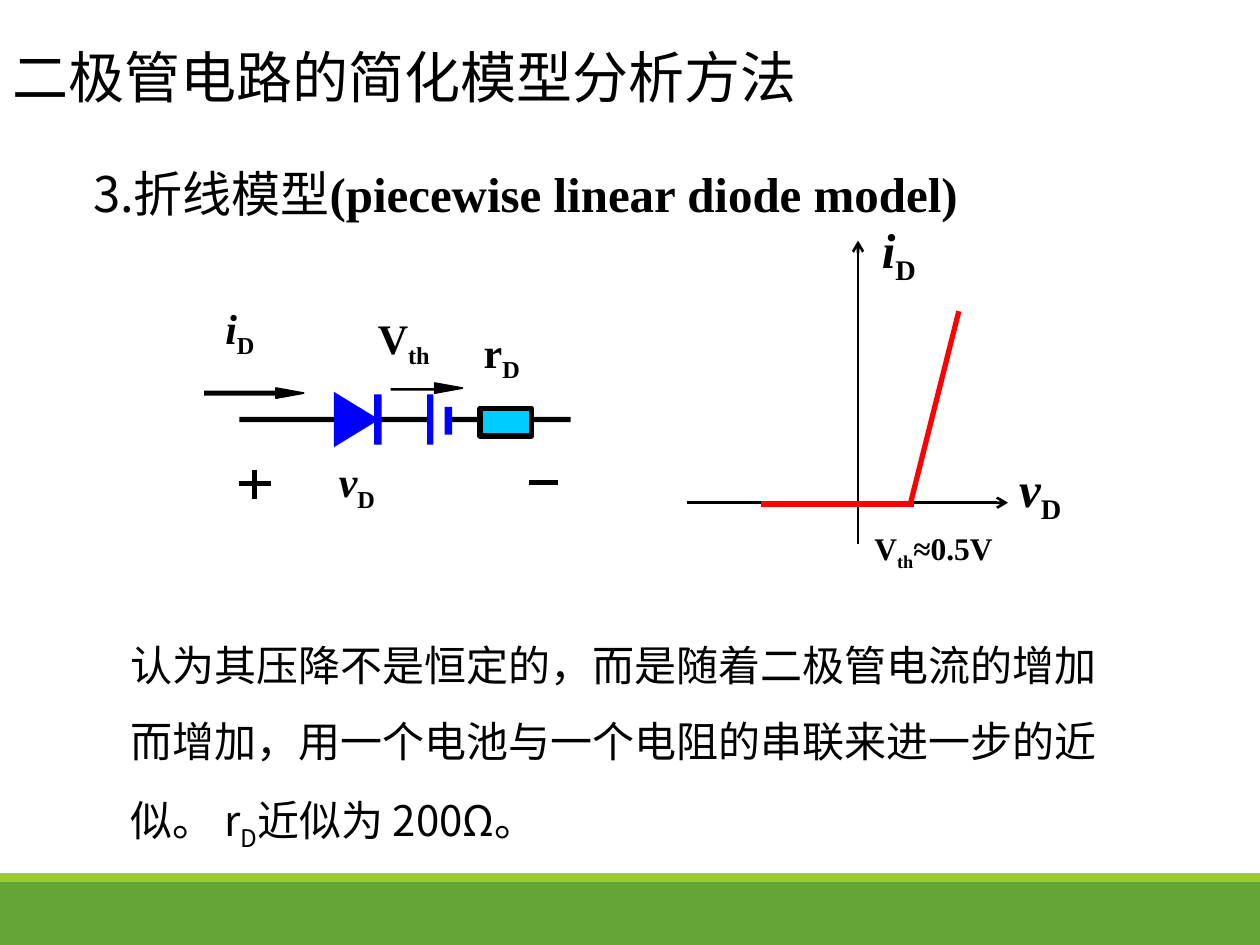
from lxml import etree
from pptx import Presentation
from pptx.dml.color import RGBColor
from pptx.enum.shapes import MSO_CONNECTOR, MSO_SHAPE
from pptx.enum.text import MSO_ANCHOR, PP_ALIGN
from pptx.oxml.ns import qn
from pptx.util import Inches, Pt

RECTANGLE = MSO_SHAPE.RECTANGLE
STRAIGHT = MSO_CONNECTOR.STRAIGHT
MIDDLE = MSO_ANCHOR.MIDDLE
LEFT = PP_ALIGN.LEFT
color = RGBColor.from_string
CHINESE = "Noto Sans CJK SC"
LATIN = "Times New Roman"
BLACK, BLUE, RED = "000000", "0000FF", "FF0000"


def add_runs(paragraph, size, runs):
    for text, font_name, style in runs:
        run = paragraph.add_run()
        run.text = text
        font = run.font
        font.size = Pt(size)
        font.name = font_name
        font.bold = "bold" in style
        font.italic = "italic" in style
        font.color.rgb = color(BLACK)
        properties = font._element
        etree.SubElement(properties, qn("a:ea")).set("typeface", font_name)
        if "subscript" in style:
            properties.set("baseline", "-25000")


def paint(shape, fill, line_width):
    shape.shadow.inherit = False
    shape.fill.solid()
    shape.fill.fore_color.rgb = color(fill)
    if line_width:
        shape.line.color.rgb = color(BLACK)
        shape.line.width = Pt(line_width)
    else:
        shape.line.fill.background()


presentation = Presentation()
presentation.slide_width = Inches(10)
presentation.slide_height = Inches(7.5)
slide = presentation.slides.add_slide(presentation.slide_layouts[5])
shapes = slide.shapes

title = shapes.title
title.left, title.top, title.width, title.height = 0, 0, Inches(8.5), Inches(1.21)
title.text_frame.vertical_anchor = MIDDLE
title_paragraph = title.text_frame.paragraphs[0]
title_paragraph.alignment = LEFT
add_runs(title_paragraph, 32, [("二极管电路的简化模型分析方法", CHINESE, "")])

rectangles = [
    (0, 7, 10, 0.5, "63A537", 0),
    (0, 6.93, 10, 0.07, "99CB38", 0),
    (1.9, 3.31, 2.63, 0.04, BLACK, 0),
    (3.41, 3.23, 0.14, 0.23, "FFFFFF", 0),
    (3.39, 3.13, 0.05, 0.4, BLUE, 0),
    (3.53, 3.23, 0.06, 0.22, BLUE, 0),
    (2.97, 3.13, 0.06, 0.4, BLUE, 0),
    (1.62, 3.1, 0.7, 0.04, BLACK, 0),
    (3.81, 3.24, 0.41, 0.22, "00CCFF", 3),
    (3.1, 3.08, 0.38, 0.02, BLACK, 0),
]
for left, top, width, height, fill, line_width in rectangles:
    rectangle = shapes.add_shape(
        RECTANGLE, Inches(left), Inches(top), Inches(width), Inches(height))
    paint(rectangle, fill, line_width)

triangles = [
    (2.65, 3.01, 3.33, 0.22, BLUE, 0),
    (2.19, 2.41, 3.12, 0.04, BLACK, 1),
    (3.45, 3.67, 3.08, 0.04, BLACK, 1),
]
for base, tip, middle, half_height, fill, line_width in triangles:
    builder = shapes.build_freeform(Inches(tip), Inches(middle))
    builder.add_line_segments([
        (Inches(base), Inches(middle - half_height)),
        (Inches(base), Inches(middle + half_height)),
    ], close=True)
    paint(builder.convert_to_shape(), fill, line_width)

lines = [
    (5.45, 3.99, 8, 3.99, BLACK, 1.5, True),
    (6.81, 4.32, 6.81, 1.91, BLACK, 1.5, True),
    (7.61, 2.47, 7.22, 4.02, RED, 3, False),
    (6.04, 4, 7.25, 4, RED, 3, False),
    (1.9, 3.84, 2.15, 3.84, BLACK, 3, False),
    (2.02, 3.73, 2.02, 3.96, BLACK, 3, False),
    (4.2, 3.83, 4.43, 3.83, BLACK, 3, False),
]
for start_x, start_y, end_x, end_y, line_color, line_width, arrow in lines:
    connector = shapes.add_connector(
        STRAIGHT, Inches(start_x), Inches(start_y), Inches(end_x), Inches(end_y))
    connector.line.color.rgb = color(line_color)
    connector.line.width = Pt(line_width)
    if arrow:
        line_element = connector.line._get_or_add_ln()
        etree.SubElement(line_element, qn("a:tailEnd")).set("type", "arrow")
    etree.SubElement(connector._element.spPr, qn("a:effectLst"))

diode_index = ("D", LATIN, "bold subscript")
current = [("i", LATIN, "bold italic"), diode_index]
voltage = [("v", LATIN, "bold italic"), diode_index]
resistance = [("r", LATIN, "bold"), diode_index]
threshold = [("V", LATIN, "bold"), ("th", LATIN, "bold subscript")]
heading = [("3.折线模型", CHINESE, ""), ("(piecewise linear diode model)", LATIN, "bold")]
explanation = [
    ("认为其压降不是恒定的，而是随着二极管电流的增加而增加，"
     "用一个电池与一个电阻的串联来进一步的近似。 r", CHINESE, ""),
    ("D", CHINESE, "subscript"),
    ("近似为 200Ω。", CHINESE, ""),
]
texts = [
    (0.64, 1.25, 7.29, 0.57, 28, 1, True, heading),
    (0.94, 4.83, 8.07, 1.83, 24, 1.5, True, explanation),
    (7.99, 3.59, 0.87, 0.57, 28, 1, True, voltage),
    (6.9, 1.69, 0.5, 0.57, 28, 1, False, current),
    (6.84, 4.15, 2.22, 0.41, 18, 1, True, threshold + [("≈0.5V", LATIN, "bold")]),
    (2.59, 3.57, 0.68, 0.67, 24, 1, False, voltage),
    (2.9, 2.43, 0.86, 0.67, 24, 1, False, threshold),
    (3.74, 2.54, 0.68, 0.67, 24, 1, False, resistance),
    (1.69, 2.35, 0.6, 0.67, 24, 1, False, current),
]
for left, top, width, height, size, spacing, wrap, runs in texts:
    text_box = shapes.add_textbox(
        Inches(left), Inches(top), Inches(width), Inches(height))
    text_box.text_frame.word_wrap = wrap
    paragraph = text_box.text_frame.paragraphs[0]
    paragraph.line_spacing = float(spacing)
    add_runs(paragraph, size, runs)

presentation.save("out.pptx")
